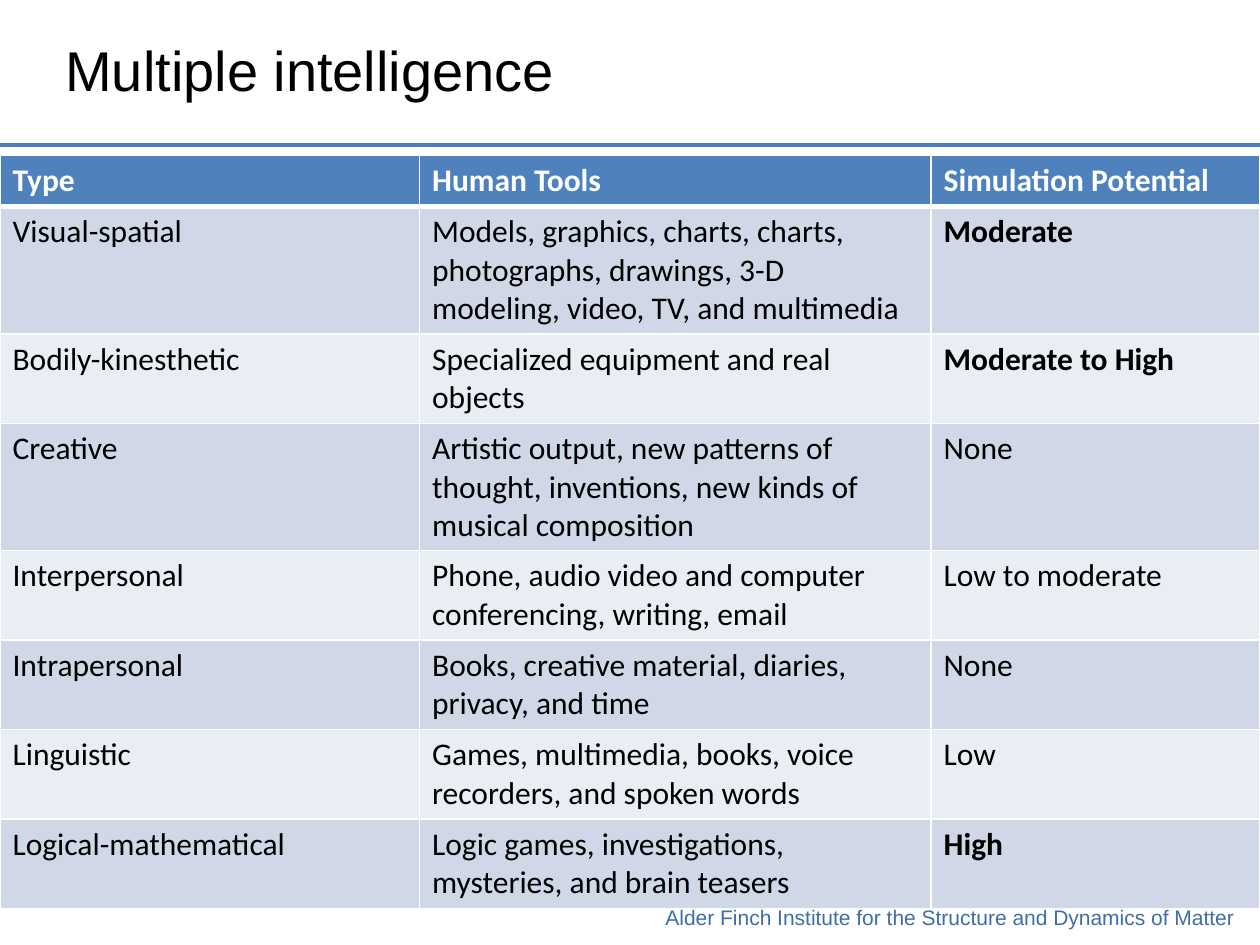
from lxml.etree import SubElement
from pptx import Presentation
from pptx.dml.color import RGBColor
from pptx.enum.shapes import MSO_CONNECTOR
from pptx.enum.text import MSO_ANCHOR, PP_ALIGN
from pptx.oxml import parse_xml
from pptx.oxml.ns import nsdecls, qn
from pptx.util import Inches, Pt

TITLE = "Multiple intelligence"
FOOTER = "Alder Finch Institute for the Structure and Dynamics of Matter"
HEADER = ("Type", "Human Tools", "Simulation Potential")
# type, tools, potential, potential is emphasised, lines of text
ROWS = [
    ("Visual-spatial", "Models, graphics, charts, charts, photographs, drawings, 3-D "
     "modeling, video, TV, and multimedia", "Moderate", True, 3),
    ("Bodily-kinesthetic", "Specialized equipment and real objects",
     "Moderate to High", True, 2),
    ("Creative", "Artistic output, new patterns of thought, inventions, new kinds of "
     "musical composition", "None", False, 3),
    ("Interpersonal", "Phone, audio video and computer conferencing, writing, email",
     "Low to moderate", False, 2),
    ("Intrapersonal", "Books, creative material, diaries, privacy, and time",
     "None", False, 2),
    ("Linguistic", "Games, multimedia, books, voice recorders, and spoken words",
     "Low", False, 2),
    ("Logical-mathematical", "Logic games, investigations, mysteries, and brain teasers",
     "High", True, 2),
]

THEME = {
    "title": {"name": "Arial", "size": Pt(32), "color": "000000"},
    "footer": {"name": "Arial", "size": Pt(12), "color": "3F6EA7"},
    "header": {"name": "Calibri", "size": Pt(18), "color": "FFFFFF", "bold": True},
    "body": {"name": "Calibri", "size": Pt(18), "color": "000000", "bold": False},
    "header_fill": "4F81BD",
    "bands": ("D0D8E8", "E9EDF4"),
    "rule": "4B7EBC",
    "border": "FFFFFF",
}
WIDTH, HEIGHT = 10, 7.5
COLUMN_SHARES = (0.333, 0.406, 0.261)
RULE_Y, TABLE_Y = 1.15, 1.23
CELL_PADDING, LINE_HEIGHT = 0.11, 0.3


def write(tf, text, style, align=PP_ALIGN.LEFT):
    p = tf.paragraphs[0]
    p.alignment = align
    r = p.add_run()
    r.text = text
    for key, value in style.items():
        if key == "color":
            r.font.color.rgb = RGBColor.from_string(value)
        else:
            setattr(r.font, key, value)


def add_text(s, box, text, style, align, anchor):
    tf = s.shapes.add_textbox(*map(Inches, box)).text_frame
    tf.word_wrap = True
    tf.vertical_anchor = anchor
    write(tf, text, style, align)


def set_cell(cell, text, style, fill, bottom=1):
    """Fill one cell and rule its edges; bottom is that edge's width in points."""
    write(cell.text_frame, text, style)
    cell.fill.solid()
    cell.fill.fore_color.rgb = RGBColor.from_string(fill)
    tc_pr = cell._tc.get_or_add_tcPr()
    for i, (edge, width) in enumerate((("L", 1), ("R", 1), ("T", 1), ("B", bottom))):
        ln = parse_xml(f'<a:ln{edge} {nsdecls("a")} w="{Pt(width)}"/>')
        paint = SubElement(ln, qn("a:solidFill"))
        SubElement(paint, qn("a:srgbClr"), val=THEME["border"])
        tc_pr.insert(i, ln)


def add_rule(s):
    line = s.shapes.add_connector(MSO_CONNECTOR.STRAIGHT, 0, Inches(RULE_Y),
                                  Inches(WIDTH), Inches(RULE_Y))
    line.line.color.rgb = RGBColor.from_string(THEME["rule"])
    line.line.width = Pt(2)
    SubElement(line._element.spPr, qn("a:effectLst"))


def add_intelligence_table(s):
    heights = [CELL_PADDING + LINE_HEIGHT * n for n in (1, *(row[-1] for row in ROWS))]
    table = s.shapes.add_table(len(heights), len(HEADER), 0, Inches(TABLE_Y),
                               Inches(WIDTH), Inches(sum(heights))).table
    for column, share in zip(table.columns, COLUMN_SHARES):
        column.width = Inches(WIDTH * share)
    for row, height in zip(table.rows, heights):
        row.height = Inches(height)
    for c, text in enumerate(HEADER):
        set_cell(table.cell(0, c), text, THEME["header"], THEME["header_fill"], bottom=3)
    for i, (*texts, strong, _) in enumerate(ROWS):
        for c, text in enumerate(texts):
            style = THEME["body"] | {"bold": strong and c == 2}
            set_cell(table.cell(i + 1, c), text, style, THEME["bands"][i % 2])


def main():
    prs = Presentation()
    prs.slide_width, prs.slide_height = Inches(WIDTH), Inches(HEIGHT)
    s = prs.slides.add_slide(prs.slide_layouts[6])
    add_text(s, (2.03, 7.13, 7.87, 0.3), FOOTER, THEME["footer"],
             PP_ALIGN.RIGHT, MSO_ANCHOR.TOP)
    add_rule(s)
    add_text(s, (0.42, 0.05, 8.49, 0.99), TITLE, THEME["title"],
             PP_ALIGN.LEFT, MSO_ANCHOR.MIDDLE)
    add_intelligence_table(s)
    prs.save("out.pptx")


if __name__ == "__main__":
    main()
